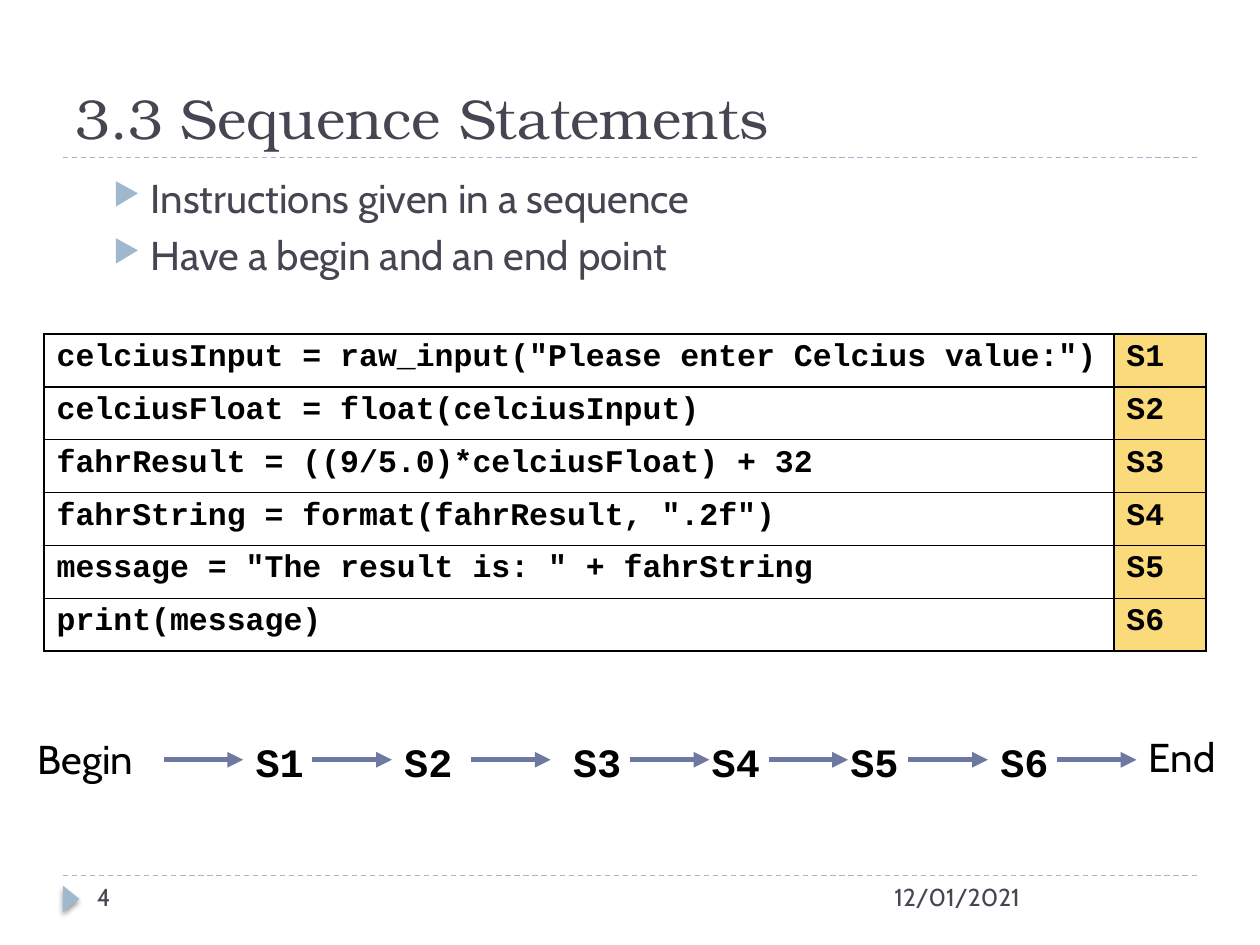
from lxml import etree
from pptx import Presentation, util as u
from pptx.dml.color import RGBColor
from pptx.enum import dml, shapes, text
from pptx.oxml import parse_xml
from pptx.oxml.ns import nsdecls, qn

TITLE = "3.3 Sequence Statements"
POINTS = ["Instructions given in a sequence", "Have a begin and an end point"]
STATEMENTS = [
    ("celciusInput = raw_input(\"Please enter Celcius value:\")", "S1"),
    ("celciusFloat = float(celciusInput)", "S2"),
    ("fahrResult = ((9/5.0)*celciusFloat) + 32", "S3"),
    ("fahrString = format(fahrResult, \".2f\")", "S4"),
    ("message = \"The result is: \" + fahrString", "S5"),
    ("print(message)", "S6"),
]
FLOW_ENDS = [("Begin", 0.2, 5.78, 1.3), ("End", 9.02, 5.76, 1.02)]
STEP_LEFTS = [1.93, 3.11, 4.45, 5.55, 6.65, 7.84]
ARROW_LEFTS = [1.3, 2.48, 3.74, 5, 6.1, 7.21, 8.39]
FOOTER = [("4", 0.67, 2.17), ("12/01/2021", 7, 2.5)]

THEME = {
    "heading": "TeX Gyre Bonum", "body": "Cabin", "code": "Courier New",
    "ink": "464653", "black": "000000", "accent": "9FB8CD",
    "label": "FADA7A", "arrow": "6E79A1",
    "title_size": 32, "text_size": 23, "code_size": 18, "footer_size": 14,
}
COLUMN_WIDTHS = [8.49, 0.73]
ROW_HEIGHT = 0.42
STEP_TOP, TEXT_HEIGHT = 5.8, 0.48
ARROW_Y, ARROW_LENGTH = 6.03, 0.63


def color(key):
    return RGBColor.from_string(THEME[key])


def write(paragraph, words, size="text_size", font="body", ink="black", bold=False):
    paragraph.alignment = text.PP_ALIGN.LEFT
    run = paragraph.add_run()
    run.text = words
    run.font.size = u.Pt(THEME[size])
    run.font.name = THEME[font]
    run.font.color.rgb = color(ink)
    run.font.bold = bold


def add_box(slide, left, top, width, height):
    frame = slide.shapes.add_textbox(*map(u.Inches, (left, top, width, height))).text_frame
    frame.word_wrap = True
    return frame


def add_line(slide, left, right, y, ink, weight):
    line = slide.shapes.add_connector(
        shapes.MSO_CONNECTOR.STRAIGHT, *map(u.Inches, (left, y, right, y)))
    line.line.color.rgb = color(ink)
    line.line.width = u.Pt(weight)
    etree.SubElement(line._element.spPr, qn("a:effectLst"))
    return line


def add_bullet(paragraph):
    props = paragraph._p.get_or_add_pPr()
    props.set("marL", str(u.Inches(0.6)))
    props.set("indent", str(u.Inches(-0.3)))
    for tag in (f'<a:buClr {nsdecls("a")}><a:srgbClr val="{THEME["accent"]}"/></a:buClr>',
                f'<a:buSzPct {nsdecls("a")} val="76000"/>',
                f'<a:buChar {nsdecls("a")} char="▶"/>'):
        props.append(parse_xml(tag))


def add_borders(cell):
    props = cell._tc.get_or_add_tcPr()
    for position, side in enumerate(("lnL", "lnR", "lnT", "lnB")):
        props.insert(position, parse_xml(
            f'<a:{side} {nsdecls("a")} w="{u.Pt(0.96)}"><a:solidFill>'
            f'<a:srgbClr val="{THEME["black"]}"/></a:solidFill></a:{side}>'))


def add_decoration(slide):
    for y in (6.95, 1.25):
        add_line(slide, 0.5, 9.5, y, "accent", 0.75).line.dash_style = dml.MSO_LINE.DASH
    marker = slide.shapes.add_shape(
        shapes.MSO_SHAPE.ISOSCELES_TRIANGLE, *map(u.Inches, (0.46, 7.07, 0.21, 0.13)))
    marker.rotation = 90
    marker.fill.solid()
    marker.fill.fore_color.rgb = color("accent")
    marker.line.fill.background()
    marker.shadow.inherit = False
    marker._element.spPr.find(qn("a:effectLst")).append(parse_xml(
        f'<a:outerShdw {nsdecls("a")} blurRad="{u.Pt(3)}" dist="{u.Pt(2)}" dir="5400000" '
        f'rotWithShape="0"><a:srgbClr val="{THEME["black"]}"><a:alpha val="40000"/>'
        '</a:srgbClr></a:outerShdw>'))


def add_title(slide):
    title = slide.shapes.title
    title.left, title.top, title.width, title.height = map(u.Inches, (0.5, 0.17, 9, 1.08))
    title.text_frame.vertical_anchor = text.MSO_ANCHOR.BOTTOM
    write(title.text_frame.paragraphs[0], TITLE, size="title_size", font="heading", ink="ink")


def add_points(slide):
    frame = add_box(slide, 0.5, 1.33, 9, 1.1)
    for index, point in enumerate(POINTS):
        paragraph = frame.add_paragraph() if index else frame.paragraphs[0]
        paragraph.level = 1
        paragraph.space_before = u.Pt(5)
        write(paragraph, point, ink="ink")
        add_bullet(paragraph)


def add_statements(slide):
    count = len(STATEMENTS)
    table = slide.shapes.add_table(count, 2, *map(u.Inches, (
        0.35, 2.65, sum(COLUMN_WIDTHS), ROW_HEIGHT * count))).table
    table.first_row = table.horz_banding = False
    for column, width in zip(table.columns, COLUMN_WIDTHS):
        column.width = u.Inches(width)
    for row, statement in enumerate(STATEMENTS):
        table.rows[row].height = u.Inches(ROW_HEIGHT)
        for column, words in enumerate(statement):
            cell = table.cell(row, column)
            write(cell.text_frame.paragraphs[0], words,
                  size="code_size", font="code", bold=True)
            if column:
                cell.fill.solid()
                cell.fill.fore_color.rgb = color("label")
            else:
                cell.fill.background()
            add_borders(cell)


def add_flow(slide):
    for words, left, top, width in FLOW_ENDS:
        write(add_box(slide, left, top, width, TEXT_HEIGHT).paragraphs[0], words)
    for (_, step), left in zip(STATEMENTS, STEP_LEFTS):
        frame = add_box(slide, left, STEP_TOP, 1.02, TEXT_HEIGHT)
        write(frame.paragraphs[0], step, font="code", bold=True)
    for left in ARROW_LEFTS:
        arrow = add_line(slide, left, left + ARROW_LENGTH, ARROW_Y, "arrow", 3)
        etree.SubElement(arrow.line._get_or_add_ln(), qn("a:tailEnd"), type="triangle")


def main():
    deck = Presentation()
    deck.slide_width, deck.slide_height = u.Inches(10), u.Inches(7.5)
    slide = deck.slides.add_slide(deck.slide_layouts[5])
    add_decoration(slide)
    add_title(slide)
    add_points(slide)
    for words, left, width in FOOTER:
        frame = add_box(slide, left, 6.95, width, 0.4)
        write(frame.paragraphs[0], words, size="footer_size", ink="ink")
    add_statements(slide)
    add_flow(slide)
    deck.save("out.pptx")


if __name__ == "__main__":
    main()
